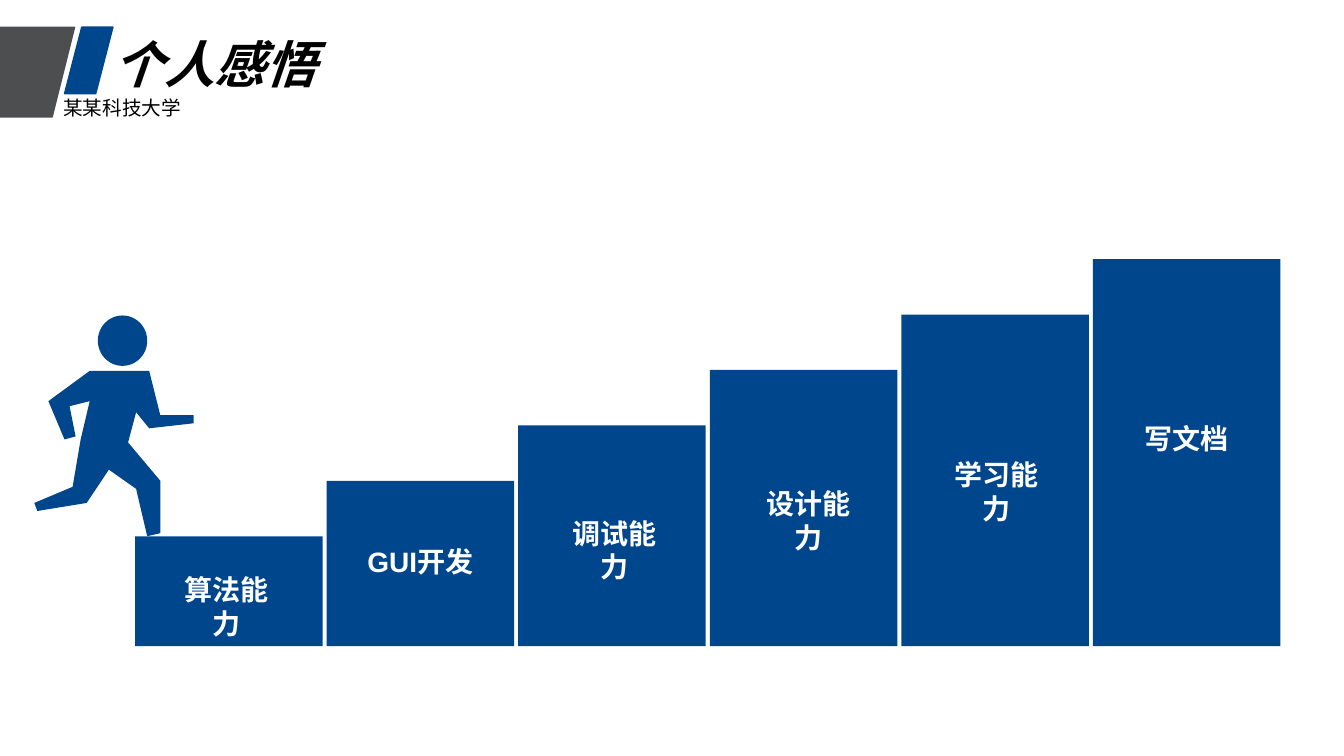
from pptx import Presentation
from pptx.dml.color import RGBColor
from pptx.enum.shapes import MSO_SHAPE
from pptx.enum.text import PP_ALIGN
from pptx.util import Inches, Pt

RECT, OVAL = MSO_SHAPE.RECTANGLE, MSO_SHAPE.OVAL
SLANTED = MSO_SHAPE.PARALLELOGRAM
LEFT, CENTER = PP_ALIGN.LEFT, PP_ALIGN.CENTER

BLUE = RGBColor(0x00, 0x46, 0x8D)
GRAY = RGBColor(0x4D, 0x4E, 0x4F)
BLACK = RGBColor(0x00, 0x00, 0x00)
WHITE = RGBColor(0xFF, 0xFF, 0xFF)

# Label, its centre from the left of the stairs, its top below the stairs' top
STEPS = [
    ("算法能力", 0.91, 3.06),
    ("GUI开发", 2.83, 2.78),
    ("调试能力", 4.76, 2.5),
    ("设计能力", 6.68, 2.21),
    ("学习能力", 8.54, 1.92),
    ("写文档", 10.43, 1.56),
]
STEP_WIDTH, STEP_GAP, STEP_RISE = 1.86, 0.04, 0.55

# Outline of the runner's body, from the top left of the figure
BODY = [
    (0.55, 0.55), (1.14, 0.55), (1.25, 0.99), (1.58, 0.99), (1.58, 1.07),
    (1.14, 1.12), (1.01, 0.96), (0.93, 1.26), (1.25, 1.64), (1.25, 2.16),
    (1.12, 2.19), (1.01, 1.72), (0.74, 1.53), (0.52, 1.86), (0.03, 1.94),
    (0, 1.86), (0.38, 1.7), (0.46, 1.23), (0.55, 0.85), (0.35, 0.9),
    (0.41, 1.2), (0.3, 1.23), (0.14, 0.85),
]


def paint(sp, color, outlined=False):
    sp.shadow.inherit = False
    sp.fill.solid()
    sp.fill.fore_color.rgb = color
    if outlined:
        sp.line.color.rgb = color
        sp.line.width = Pt(1)
    else:
        sp.line.fill.background()


def add_block(s, kind, x, y, w, h, color, outlined=False):
    sp = s.shapes.add_shape(kind, Inches(x), Inches(y), Inches(w), Inches(h))
    paint(sp, color, outlined)
    return sp


def add_text(s, text, x, y, w, h, size, color, align=LEFT, bold=False,
             italic=False, wrap=False):
    sp = s.shapes.add_textbox(Inches(x), Inches(y), Inches(w), Inches(h))
    tf = sp.text_frame
    tf.word_wrap = wrap
    p = tf.paragraphs[0]
    p.text = text
    p.alignment = align
    p.font.name = "Arial"
    p.font.size = Pt(size)
    p.font.color.rgb = color
    p.font.bold = bold
    p.font.italic = italic


def add_header(s, x, y):
    add_block(s, SLANTED, x - 0.4, y, 1.14, 0.89, GRAY, outlined=True)
    sp = add_block(s, SLANTED, x + 0.64, y, 0.48, 0.66, BLUE, outlined=True)
    sp.adjustments[0] = 0.356
    add_text(s, "个人感悟", x + 1.03, y + 0.01, 2.22, 0.71, 36, BLACK,
             bold=True, italic=True)
    add_text(s, "某某科技大学", x + 0.53, y + 0.63, 1.38, 0.34, 14, BLACK)


def add_runner(s, x, y):
    points = [(Inches(x + dx), Inches(y + dy)) for dx, dy in BODY]
    builder = s.shapes.build_freeform(*points[0])
    builder.add_line_segments(points[1:], close=True)
    paint(builder.convert_to_shape(), BLUE)
    add_block(s, OVAL, x + 0.63, y, 0.49, 0.5, BLUE)


def add_stairs(s, x, y, h):
    for i, (label, center, label_top) in enumerate(STEPS):
        # Each step starts one rise higher than the one before
        drop = STEP_RISE * (len(STEPS) - 1 - i)
        left = x + i * (STEP_WIDTH + STEP_GAP)
        add_block(s, RECT, left, y + drop, STEP_WIDTH, h - drop, BLUE)
        # The mixed-script label breaks over two lines
        add_text(s, label, x + center - 0.63, y + label_top, 1.26, 0.44, 20,
                 WHITE, CENTER, bold=True, wrap=label.startswith("GUI"))


def main():
    prs = Presentation()
    prs.slide_width, prs.slide_height = Inches(13.33), Inches(7.5)
    s = prs.slides.add_slide(prs.slide_layouts[6])
    add_header(s, 0, 0.27)
    add_runner(s, 0.34, 3.13)
    add_stairs(s, 1.34, 2.57, 3.84)
    prs.save("out.pptx")


if __name__ == "__main__":
    main()
